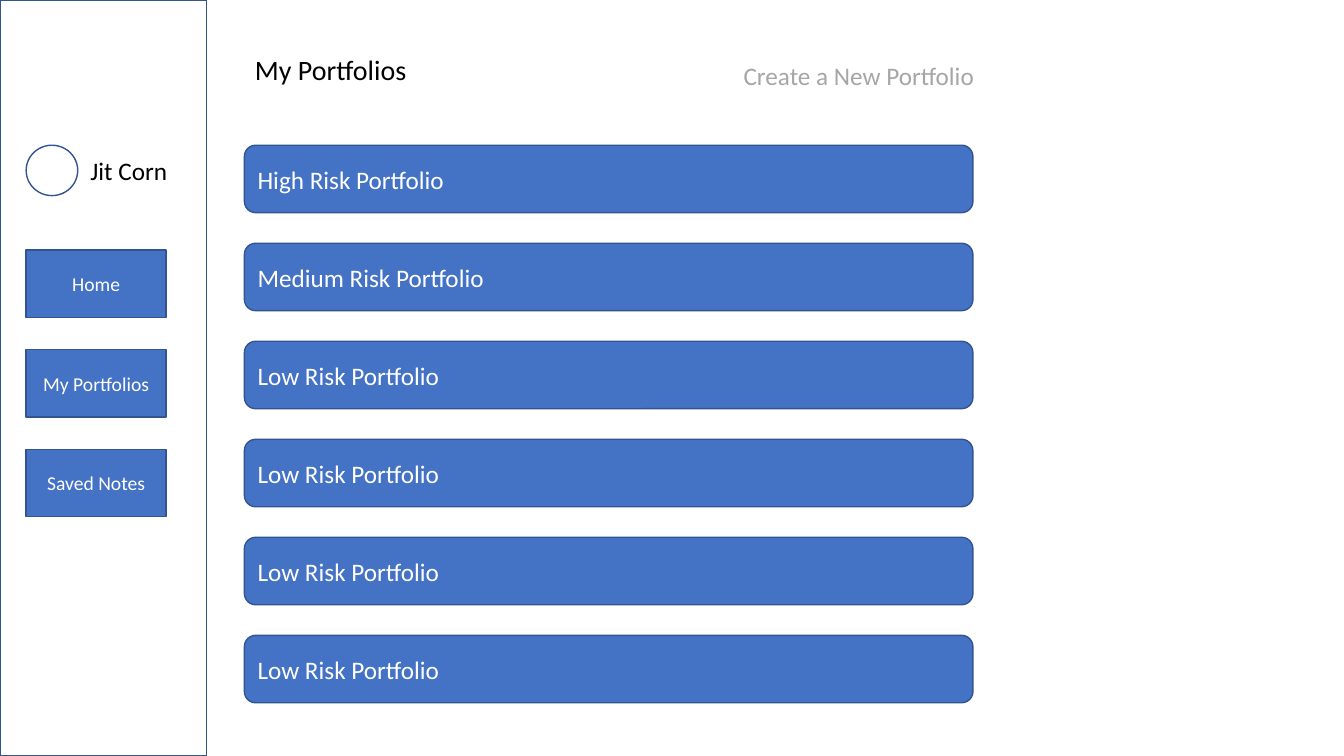
from pptx import Presentation
from pptx.dml.color import RGBColor
from pptx.enum.shapes import MSO_SHAPE
from pptx.enum.text import MSO_ANCHOR, MSO_AUTO_SIZE, PP_ALIGN
from pptx.util import Cm, Pt

BLUE = RGBColor(0x44, 0x72, 0xC4)
OUTLINE = RGBColor(0x32, 0x54, 0x91)
WHITE = RGBColor(0xFF, 0xFF, 0xFF)
BLACK = RGBColor(0x00, 0x00, 0x00)
GREY = RGBColor(0xA6, 0xA6, 0xA6)

SLIDE_WIDTH, SLIDE_HEIGHT = 33.87, 19.05
CONTENT_TOP = 3.66
CARD_LEFT, CARD_WIDTH, CARD_PITCH = 6.16, 18.36, 2.47
MENU_LEFT, MENU_TOP, MENU_WIDTH, MENU_PITCH = 0.66, 6.3, 3.53, 2.51
ROW_HEIGHT = 1.7

PORTFOLIOS = ["High Risk Portfolio", "Medium Risk Portfolio"] + ["Low Risk Portfolio"] * 4
MENU = ["Home", "My Portfolios", "Saved Notes"]


class Screen:
    """Holds the style and the slide being drawn; lengths are in centimetres."""

    font_name = "Calibri"

    def __init__(self, slide):
        """Start drawing directly on the slide."""
        self.slide = slide
        self.shapes = slide.shapes

    def start_group(self):
        """Collect the elements that follow in a new group."""
        self.shapes = self.slide.shapes.add_group_shape().shapes

    def set_text(self, frame, text, size, color, align=PP_ALIGN.LEFT, anchor=MSO_ANCHOR.MIDDLE):
        """Put one styled paragraph in a text frame."""
        frame.text = text
        frame.word_wrap = True
        frame.auto_size = MSO_AUTO_SIZE.NONE
        frame.vertical_anchor = anchor
        paragraph = frame.paragraphs[0]
        paragraph.alignment = align
        paragraph.font.name = self.font_name
        paragraph.font.size = Pt(size)
        paragraph.font.color.rgb = color

    def title(self, text, left, top, width, height):
        """Move and format the title placeholder."""
        heading = self.slide.shapes.title
        heading.left, heading.top = Cm(left), Cm(top)
        heading.width, heading.height = Cm(width), Cm(height)
        self.set_text(heading.text_frame, text, 20, BLACK)

    def label(self, text, left, top, width, height, color):
        """Add a plain line of text."""
        box = self.shapes.add_textbox(Cm(left), Cm(top), Cm(width), Cm(height))
        self.set_text(box.text_frame, text, 18, color, anchor=MSO_ANCHOR.TOP)

    def outline(self, kind, left, top, width, height, fill=None):
        """Add an outlined shape, unfilled unless a colour is given."""
        shape = self.shapes.add_shape(kind, Cm(left), Cm(top), Cm(width), Cm(height))
        shape.shadow.inherit = False
        shape.line.color.rgb = OUTLINE
        shape.line.width = Pt(1)
        if fill is None:
            shape.fill.background()
        else:
            shape.fill.solid()
            shape.fill.fore_color.rgb = fill
        return shape

    def button(self, kind, text, left, top, width, size, align):
        """Add a blue shape with white text."""
        shape = self.outline(kind, left, top, width, ROW_HEIGHT, BLUE)
        self.set_text(shape.text_frame, text, size, WHITE, align)


def main():
    """Build the portfolio screen."""
    deck = Presentation()
    deck.slide_width, deck.slide_height = Cm(SLIDE_WIDTH), Cm(SLIDE_HEIGHT)
    screen = Screen(deck.slides.add_slide(deck.slide_layouts[5]))

    screen.title("My Portfolios", 6.17, 0.89, 11.91, ROW_HEIGHT)
    screen.label("Create a New Portfolio", 18.49, 1.4, 6.6, 1.02, GREY)
    for row, portfolio in enumerate(PORTFOLIOS):
        screen.button(MSO_SHAPE.ROUNDED_RECTANGLE, portfolio, CARD_LEFT,
                      CONTENT_TOP + row * CARD_PITCH, CARD_WIDTH, 18, PP_ALIGN.LEFT)

    screen.start_group()
    screen.outline(MSO_SHAPE.RECTANGLE, 0, 0, 5.21, SLIDE_HEIGHT)
    for row, entry in enumerate(MENU):
        screen.button(MSO_SHAPE.RECTANGLE, entry, MENU_LEFT,
                      MENU_TOP + row * MENU_PITCH, MENU_WIDTH, 14, PP_ALIGN.CENTER)
    screen.outline(MSO_SHAPE.OVAL, MENU_LEFT, CONTENT_TOP, 1.3, 1.27, WHITE)
    screen.label("Jit Corn", 2.03, 3.78, 3, 1.02, BLACK)

    deck.save("out.pptx")


main()
